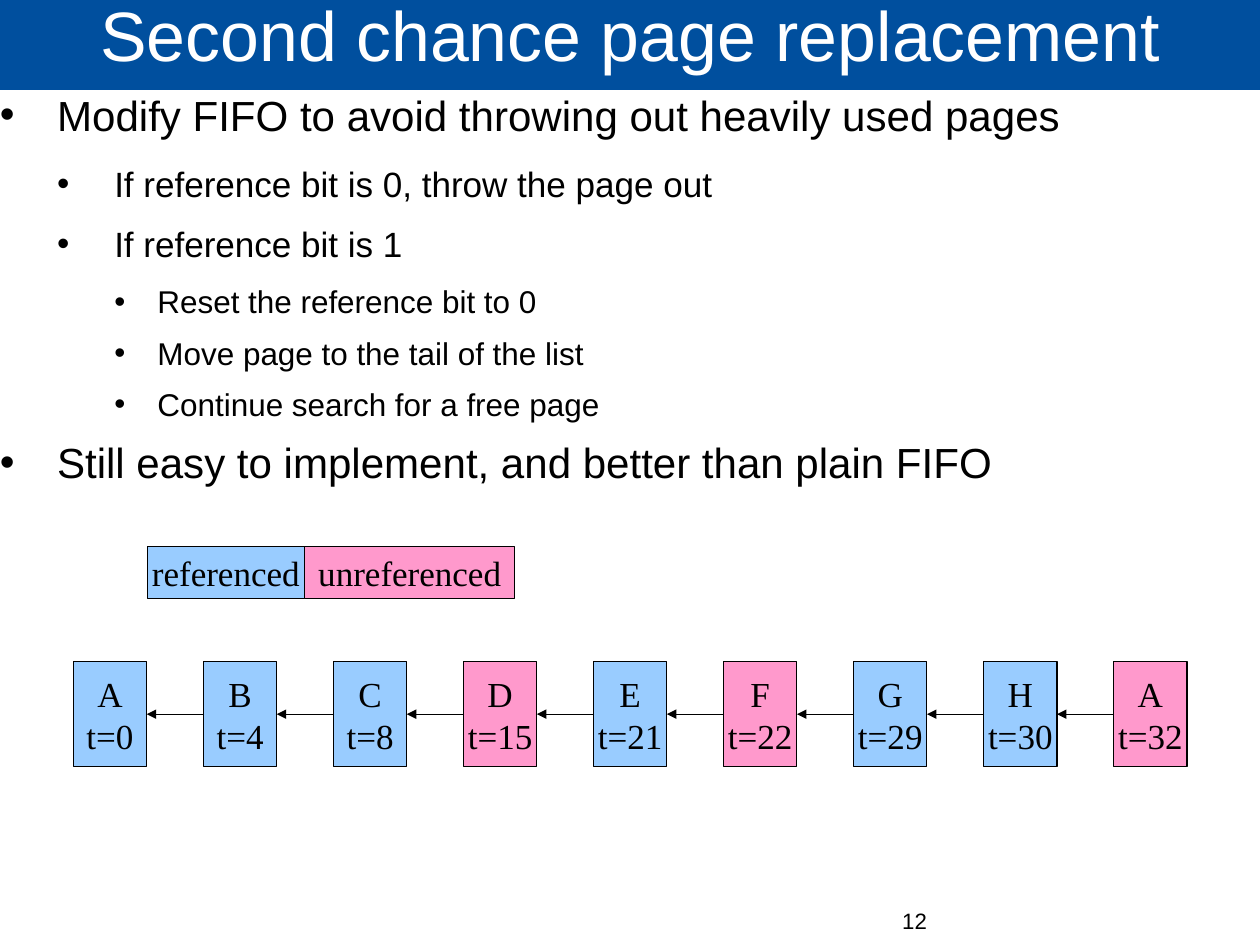
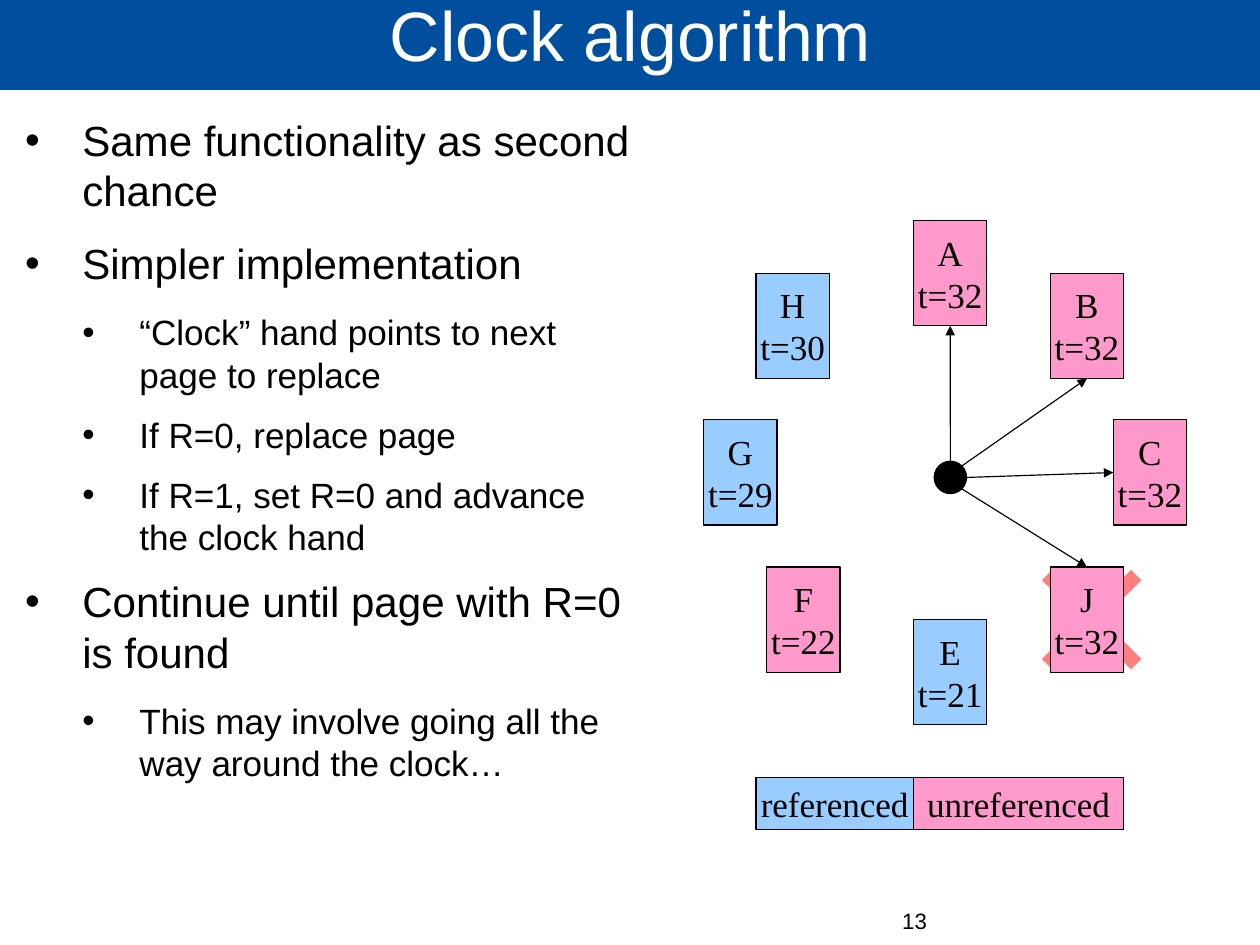
from math import cos, radians, sin

from pptx import Presentation
from pptx.dml.color import RGBColor
from pptx.enum.shapes import MSO_CONNECTOR as Connector, MSO_SHAPE as Shape
from pptx.enum.text import MSO_ANCHOR as Anchor, PP_ALIGN as Align
from pptx.oxml.ns import qn
from pptx.util import Cm, Pt
from lxml.etree import SubElement

BLUE = RGBColor(0x00, 0x4F, 0x9E)
SKY = RGBColor(0x99, 0xCC, 0xFF)
PINK = RGBColor(0xFF, 0x99, 0xCC)
RED = RGBColor(0xFF, 0x00, 0x00)
BLACK = RGBColor(0x00, 0x00, 0x00)
WHITE = RGBColor(0xFF, 0xFF, 0xFF)

TITLE_FONT = {"name": "Arial", "size": Pt(44)}
NUMBER_FONT = {"name": "Arial", "size": Pt(14)}
NODE_FONT = {"name": "Times New Roman", "size": Pt(22.1)}

# Outline levels: text size, space after (points), left margin, hanging indent (cm)
LEVELS = [(26.5, 14.2, 1.27, 1.27), (22.1, 11.4, 2.54, 1.27), (19.8, 8.5, 3.5, 0.96)]

# Measures in cm
SLIDE_WIDTH, SLIDE_HEIGHT = 28, 21
NODE_WIDTH, NODE_HEIGHT = 1.63, 2.34
LEGEND_HEIGHT = 1.17
LEGEND = [("referenced", SKY, 3.5), ("unreferenced", PINK, 4.67)]

# Connection sites of a rectangle
TOP, LEFT, BOTTOM, RIGHT = range(4)

SECOND_CHANCE = {
    "title": "Second chance page replacement",
    "number": 12,
    "body_area": (0, 1.98, 28.04, 18.24),
    "outline": [
        (0, "Modify FIFO to avoid throwing out heavily used pages"),
        (1, "If reference bit is 0, throw the page out"),
        (1, "If reference bit is 1"),
        (2, "Reset the reference bit to 0"),
        (2, "Move page to the tail of the list"),
        (2, "Continue search for a free page"),
        (0, "Still easy to implement, and better than plain FIFO"),
    ],
    "legend_at": (3.27, 12.14),
}
QUEUE = [("A", 0, SKY), ("B", 4, SKY), ("C", 8, SKY), ("D", 15, PINK), ("E", 21, SKY),
         ("F", 22, PINK), ("G", 29, SKY), ("H", 30, SKY), ("A", 32, PINK)]
QUEUE_LEFT, QUEUE_TOP, QUEUE_PITCH = 1.63, 14.7, 2.89

CLOCK = {
    "title": "Clock algorithm",
    "number": 13,
    "body_area": (0.56, 2.54, 13.44, 17.07),
    "outline": [
        (0, "Same functionality as second chance"),
        (0, "Simpler implementation"),
        (1, "“Clock” hand points to next page to replace"),
        (1, "If R=0, replace page"),
        (1, "If R=1, set R=0 and advance the clock hand"),
        (0, "Continue until page with R=0 is found"),
        (1, "This may involve going all the way around the clock…"),
    ],
    "legend_at": (16.8, 17.27),
}
# Pages round the clock: name, time, colour, left, top
RING = [("A", 32, PINK, 20.3, 4.9), ("B", 32, PINK, 23.34, 6.07),
        ("C", 32, PINK, 24.74, 9.33), ("J", 32, PINK, 23.34, 12.6),
        ("E", 21, SKY, 20.3, 13.77), ("F", 22, PINK, 17.04, 12.6),
        ("G", 29, SKY, 15.64, 9.33), ("H", 30, SKY, 16.8, 6.07)]
# Hand positions: page, angle in degrees, side of the page reached
HANDS = [("A", 90, BOTTOM), ("B", 45, BOTTOM), ("C", 0, LEFT), ("J", -45, TOP)]
HUB_X, HUB_Y, HUB_RADIUS = 21.12, 10.61, 0.36
CROSS_AREA = (22.86, 12.37, 2.8, 2.8)


def style_text(para, text, font, color):
    para.text = text
    for span in para.runs:
        for name, value in font.items():
            setattr(span.font, name, value)
        span.font.color.rgb = color


def clear_margins(frame):
    for side in ("left", "right", "top", "bottom"):
        setattr(frame, f"margin_{side}", 0)


def add_text_box(page, area):
    frame = page.shapes.add_textbox(*map(Cm, area)).text_frame
    frame.word_wrap = True
    clear_margins(frame)
    return frame


def add_figure(page, kind, area, fill, outlined=True):
    figure = page.shapes.add_shape(kind, *map(Cm, area))
    figure.shadow.inherit = False
    figure.fill.solid()
    figure.fill.fore_color.rgb = fill
    if outlined:
        figure.line.color.rgb = BLACK
        figure.line.width = Pt(0.75)
    else:
        figure.line.fill.background()
    return figure


def add_label_box(page, text, area, fill):
    box = add_figure(page, Shape.RECTANGLE, area, fill)
    frame = box.text_frame
    frame.word_wrap = False
    frame.vertical_anchor = Anchor.MIDDLE
    frame.paragraphs[0].alignment = Align.CENTER
    style_text(frame.paragraphs[0], text, NODE_FONT, BLACK)
    return box


def add_node(page, name, time, fill, left, top):
    return add_label_box(page, f"{name}\nt={time}", (left, top, NODE_WIDTH, NODE_HEIGHT), fill)


def add_arrow(page, target, target_side, x=0, y=0):
    """Draw a straight arrow from a point in cm to one side of the target box."""
    arrow = page.shapes.add_connector(Connector.STRAIGHT, Cm(x), Cm(y), Cm(x), Cm(y))
    arrow.end_connect(target, target_side)
    arrow.line.color.rgb = BLACK
    arrow.line.width = Pt(0.75)
    SubElement(arrow.line._get_or_add_ln(), qn("a:tailEnd"), type="triangle")
    SubElement(arrow._element.spPr, qn("a:effectLst"))
    return arrow


def add_outline(page, area, outline):
    frame = add_text_box(page, area)
    for index, (level, text) in enumerate(outline):
        para = frame.add_paragraph() if index else frame.paragraphs[0]
        size, space_after, margin, hanging = LEVELS[level]
        style_text(para, text, {"name": "Arial", "size": Pt(size)}, BLACK)
        para.level = level
        para.space_after = Pt(space_after)
        properties = para._p.get_or_add_pPr()
        properties.set("marL", str(Cm(margin)))
        properties.set("indent", str(-Cm(hanging)))
        SubElement(properties, qn("a:buFont"), typeface="Arial")
        SubElement(properties, qn("a:buChar"), char="•")


def add_page(deck, content):
    """Add a slide with the shared title band, outline, legend and page number."""
    page = deck.slides.add_slide(deck.slide_layouts[6])

    band = add_figure(page, Shape.RECTANGLE, (0, -0.05, 28.04, 2.05), BLUE, outlined=False)
    clear_margins(band.text_frame)
    band.text_frame.vertical_anchor = Anchor.MIDDLE
    heading = band.text_frame.paragraphs[0]
    heading.alignment = Align.CENTER
    heading.line_spacing = 0.69
    style_text(heading, content["title"], TITLE_FONT, WHITE)

    add_outline(page, content["body_area"], content["outline"])

    number = add_text_box(page, (7.8, 20.17, 12.8, 1.4)).paragraphs[0]
    number.alignment = Align.RIGHT
    style_text(number, str(content["number"]), NUMBER_FONT, BLACK)

    left, top = content["legend_at"]
    for text, fill, width in LEGEND:
        add_label_box(page, text, (left, top, width, LEGEND_HEIGHT), fill)
        left += width
    return page


def add_queue(page):
    nodes = [add_node(page, *entry, QUEUE_LEFT + index * QUEUE_PITCH, QUEUE_TOP)
             for index, entry in enumerate(QUEUE)]
    for earlier, later in zip(nodes, nodes[1:]):
        add_arrow(page, earlier, RIGHT).begin_connect(later, LEFT)


def add_clock(page):
    cross = add_figure(page, Shape.CROSS, CROSS_AREA, RED, outlined=False)
    cross.adjustments[0] = 0.442
    cross.rotation = 45
    color = cross._element.spPr.find(qn("a:solidFill")).find(qn("a:srgbClr"))
    SubElement(color, qn("a:alpha"), val="50000")

    nodes = {entry[0]: add_node(page, *entry) for entry in RING}
    diameter = 2 * HUB_RADIUS
    add_figure(page, Shape.OVAL,
               (HUB_X - HUB_RADIUS, HUB_Y - HUB_RADIUS, diameter, diameter), BLACK)
    for name, angle, side in HANDS:
        turn = radians(angle)
        add_arrow(page, nodes[name], side,
                  HUB_X + HUB_RADIUS * cos(turn), HUB_Y - HUB_RADIUS * sin(turn))


def main():
    deck = Presentation()
    deck.slide_width, deck.slide_height = Cm(SLIDE_WIDTH), Cm(SLIDE_HEIGHT)
    add_queue(add_page(deck, SECOND_CHANCE))
    add_clock(add_page(deck, CLOCK))
    deck.save("out.pptx")


if __name__ == "__main__":
    main()
